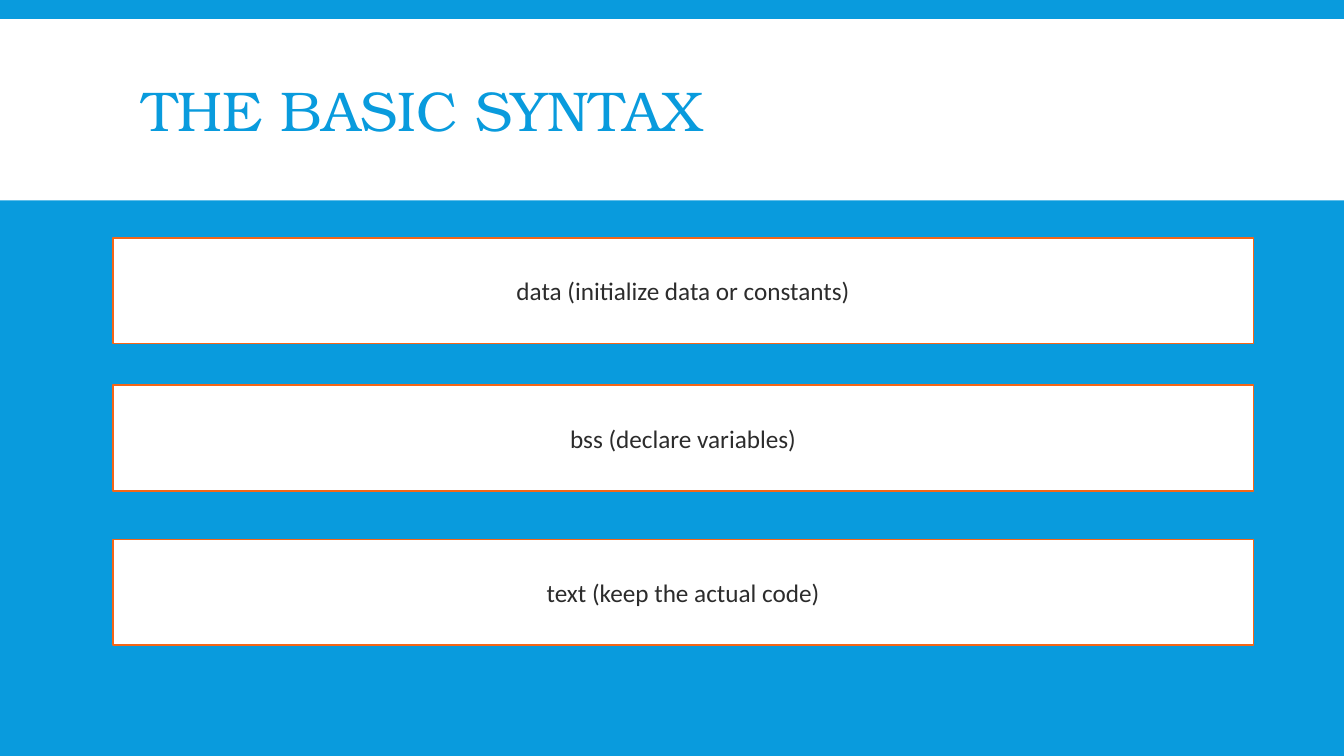
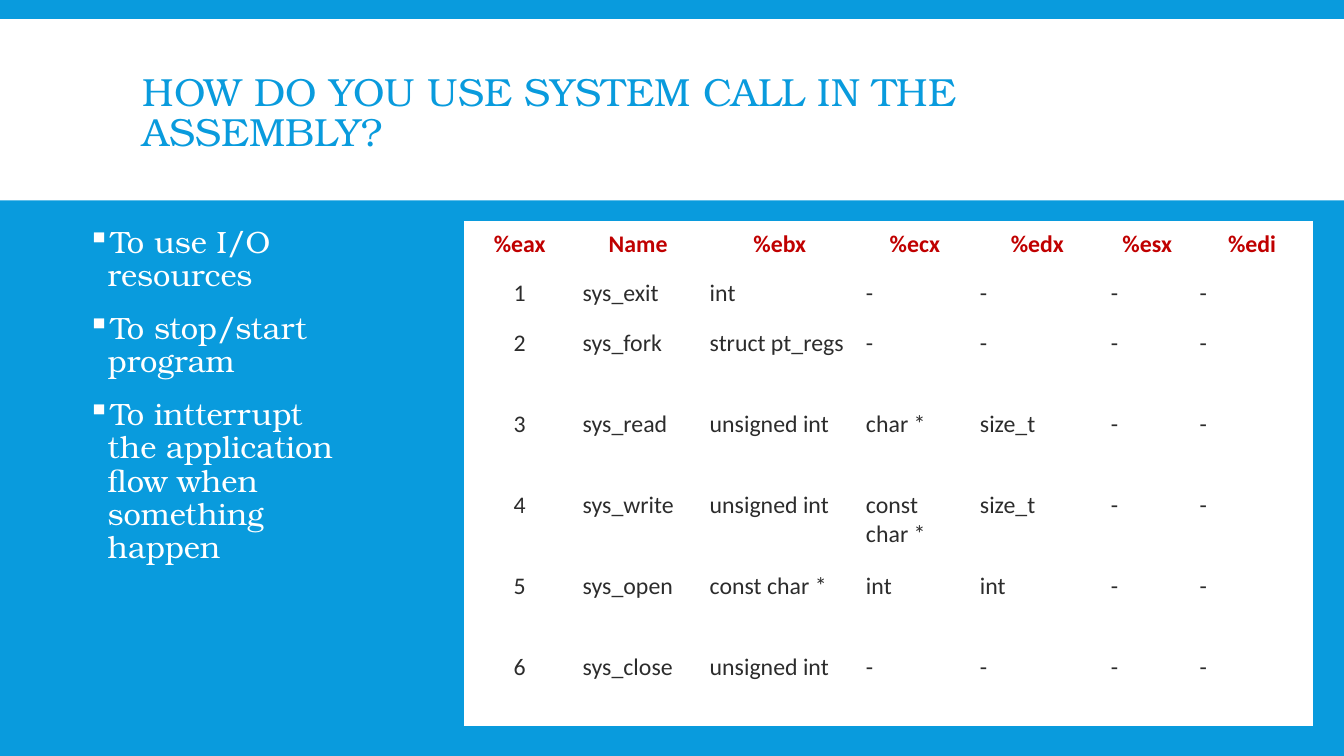
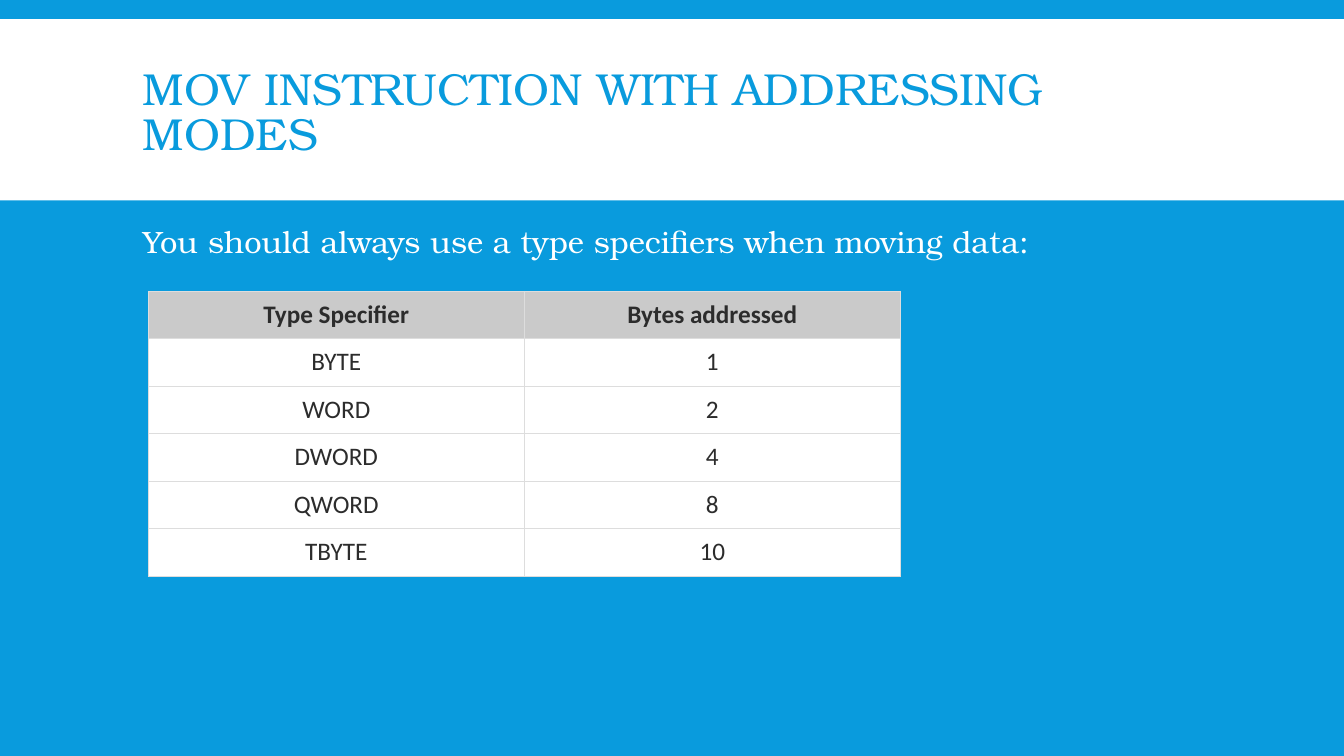
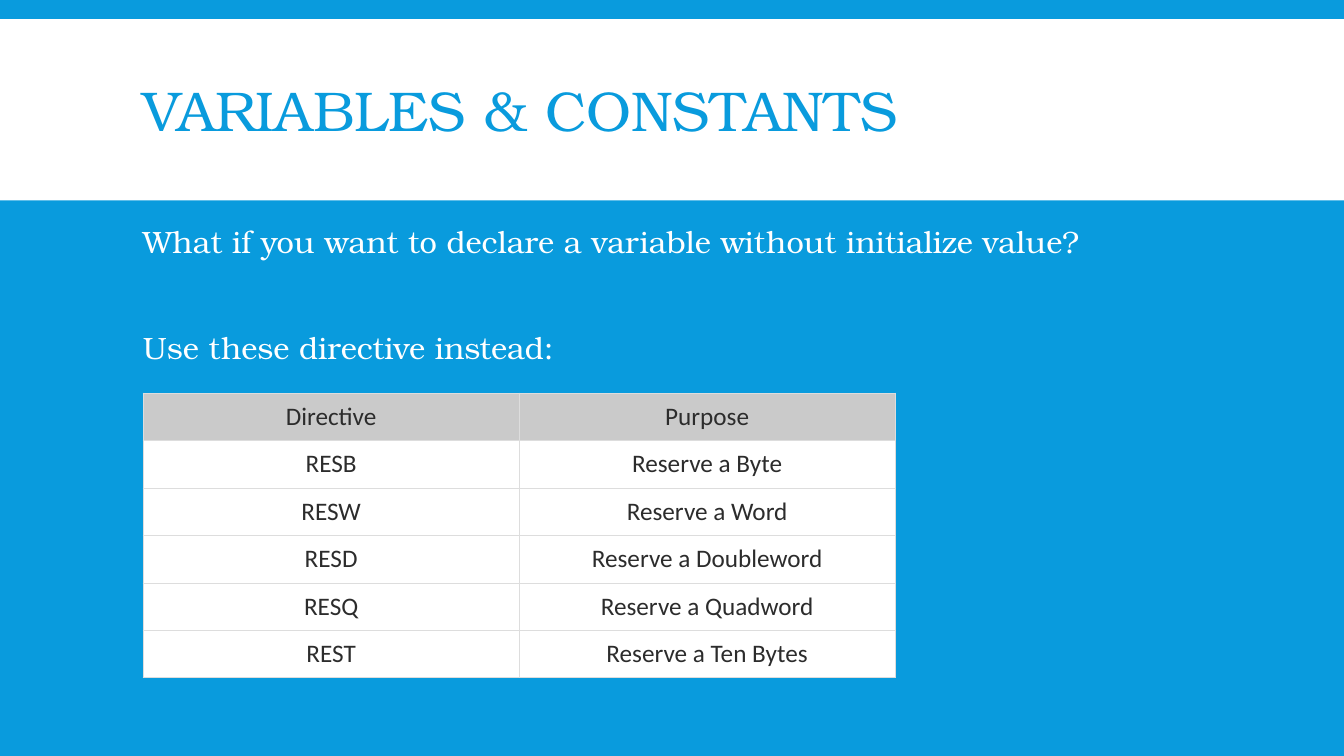
from lxml import etree
from pptx import Presentation
from pptx.dml.color import RGBColor
from pptx.enum.shapes import MSO_SHAPE
from pptx.enum.text import MSO_ANCHOR, PP_ALIGN
from pptx.oxml.ns import qn
from pptx.util import Inches, Pt

RECT = MSO_SHAPE.RECTANGLE
TOP, MIDDLE = MSO_ANCHOR.TOP, MSO_ANCHOR.MIDDLE
LEFT, CENTER = PP_ALIGN.LEFT, PP_ALIGN.CENTER

BLUE = RGBColor(0x09, 0x9B, 0xDD)
WHITE = RGBColor(0xFF, 0xFF, 0xFF)
ORANGE = RGBColor(0xF5, 0x66, 0x17)
DARK = RGBColor(0x2C, 0x2C, 0x2C)
RED = RGBColor(0xC0, 0x00, 0x00)
GREY = RGBColor(0xCA, 0xCA, 0xCA)
PALE = RGBColor(0xDD, 0xDD, 0xDD)

SERIF, SANS = "TeX Gyre Bonum", "Calibri"
GRID = 100
EDGE = 9.9
WIDE = 80.25
BODY_TOP = 29.33
PAD = Inches(0.08)


class Deck:
    def __init__(self):
        self.prs = Presentation()
        self.prs.slide_width = Inches(13.33)
        self.prs.slide_height = Inches(7.5)
        self.slide = None

    def col(self, count):
        return round(self.prs.slide_width * count / GRID)

    def row(self, count):
        return round(self.prs.slide_height * count / GRID)

    def area(self, x, y, w, h):
        return self.col(x), self.row(y), self.col(w), self.row(h)

    def style(self, para, font, size, color, align=LEFT, bold=False):
        para.alignment = align
        for run in para.runs:
            run.font.name = font
            run.font.size = Pt(size)
            run.font.color.rgb = color
            run.font.bold = bold

    def page(self, title, size=40):
        self.slide = self.prs.slides.add_slide(self.prs.slide_layouts[6])
        fill = self.slide.background.fill
        fill.solid()
        fill.fore_color.rgb = BLUE
        self.rect(0, 2.53, GRID, 24)
        para = self.text([title], EDGE, 4.13, WIDE, 22, MIDDLE)[0]
        para.line_spacing = 0.85
        self.style(para, SERIF, size, BLUE)

    def rect(self, x, y, w, h, line=None):
        shape = self.slide.shapes.add_shape(RECT, *self.area(x, y, w, h))
        shape.shadow.inherit = False
        shape.fill.solid()
        shape.fill.fore_color.rgb = WHITE
        if line is None:
            shape.line.fill.background()
        else:
            shape.line.color.rgb = line
            shape.line.width = Pt(1)
        return shape

    def panel(self, text, y):
        frame = self.rect(8.4, y, 84.85, 14, ORANGE).text_frame
        frame.text = text
        frame.vertical_anchor = MIDDLE
        self.style(frame.paragraphs[0], SANS, 18, DARK, CENTER)

    def text(self, lines, x, y, w, h, anchor=TOP):
        frame = self.slide.shapes.add_textbox(*self.area(x, y, w, h)).text_frame
        frame.word_wrap = True
        frame.vertical_anchor = anchor
        frame.text = "\n".join(lines)
        return frame.paragraphs

    def body(self, lines, h, x=EDGE, w=WIDE, before=12, bullet=False):
        for para in self.text(lines, x, BODY_TOP, w, h):
            para.line_spacing = 0.9
            para.space_before = Pt(before)
            para.space_after = Pt(2)
            self.style(para, SERIF, 22, WHITE)
            if bullet:
                self.bullet(para)

    def bullet(self, para):
        props = para._p.get_or_add_pPr()
        props.set("marL", str(Inches(0.2)))
        props.set("indent", str(-Inches(0.2)))
        color = etree.SubElement(props, qn("a:buClr"))
        etree.SubElement(color, qn("a:srgbClr"), val=str(WHITE))
        etree.SubElement(props, qn("a:buChar"), char="▪")

    def table(self, data, x, y, cols, rows, size=18, head=DARK,
              top=GREY, bold=True, center=True, line=None):
        area = self.area(x, y, sum(cols), sum(rows))
        table = self.slide.shapes.add_table(len(rows), len(cols), *area).table
        table.first_row = table.horz_banding = False
        for part, width in zip(table.columns, cols):
            part.width = self.col(width)
        for part, height in zip(table.rows, rows):
            part.height = self.row(height)
        for r, texts in enumerate(data):
            for c, text in enumerate(texts):
                cell = table.cell(r, c)
                first = r == 0
                align = CENTER if center or first or c == 0 else LEFT
                cell.text = text
                cell.margin_left = cell.margin_right = PAD
                cell.margin_top = cell.margin_bottom = PAD
                self.style(cell.text_frame.paragraphs[0], SANS, size,
                           head if first else DARK, align, bold and first)
                if line is not None:
                    self.border(cell, line)
                cell.fill.solid()
                cell.fill.fore_color.rgb = top if first else WHITE

    def border(self, cell, color):
        props = cell._tc.get_or_add_tcPr()
        for side in ("a:lnL", "a:lnR", "a:lnT", "a:lnB"):
            edge = etree.SubElement(props, qn(side), w=str(Pt(0.75)))
            fill = etree.SubElement(edge, qn("a:solidFill"))
            etree.SubElement(fill, qn("a:srgbClr"), val=str(color))

    def pairs(self, data, x, y, bold):
        self.table(data, x, y, [27.98] * 2, [6.28] * len(data),
                   bold=bold, line=PALE)


def main():
    deck = Deck()

    deck.page("THE BASIC SYNTAX")
    deck.panel("data (initialize data or constants)", 31.47)
    deck.panel("bss (declare variables)", 50.93)
    deck.panel("text (keep the actual code)", 71.33)

    deck.page("HOW DO YOU USE SYSTEM CALL IN THE ASSEMBLY?", 28)
    deck.body(["To use I/O resources", "To stop/start program",
               "To intterrupt the application flow when something happen"],
              64.27, x=5.78, w=21.53, bullet=True)
    calls = [
        ("%eax", "Name", "%ebx", "%ecx", "%edx", "%esx", "%edi"),
        ("1", "sys_exit", "int", "-", "-", "-", "-"),
        ("2", "sys_fork", "struct pt_regs", "-", "-", "-", "-"),
        ("3", "sys_read", "unsigned int", "char *", "size_t", "-", "-"),
        ("4", "sys_write", "unsigned int", "const char *", "size_t", "-", "-"),
        ("5", "sys_open", "const char *", "int", "int", "-", "-"),
        ("6", "sys_close", "unsigned int", "-", "-", "-", "-"),
    ]
    deck.table(calls, 34.58, BODY_TOP,
               [8.18, 9.45, 11.63, 8.48, 9.75, 6.6, 9],
               [6.53] * 2 + [10.72] * 5,
               size=17, head=RED, top=WHITE, center=False)

    deck.page("MOV INSTRUCTION WITH ADDRESSING MODES", 32)
    deck.body(["You should always use a type specifiers when moving data:"], 8.8)
    deck.pairs([("Type Specifier", "Bytes addressed"), ("BYTE", "1"),
                ("WORD", "2"), ("DWORD", "4"), ("QWORD", "8"),
                ("TBYTE", "10")], 11.03, 38.53, True)

    deck.page("VARIABLES & CONSTANTS")
    deck.body(["What if you want to declare a variable without initialize value?",
               "Use these directive instead:"], 20.67, before=50)
    deck.pairs([("Directive", "Purpose"), ("RESB", "Reserve a Byte"),
                ("RESW", "Reserve a Word"), ("RESD", "Reserve a Doubleword"),
                ("RESQ", "Reserve a Quadword"),
                ("REST", "Reserve a Ten Bytes")], 10.65, 52, False)

    deck.prs.save("out.pptx")


if __name__ == "__main__":
    main()
